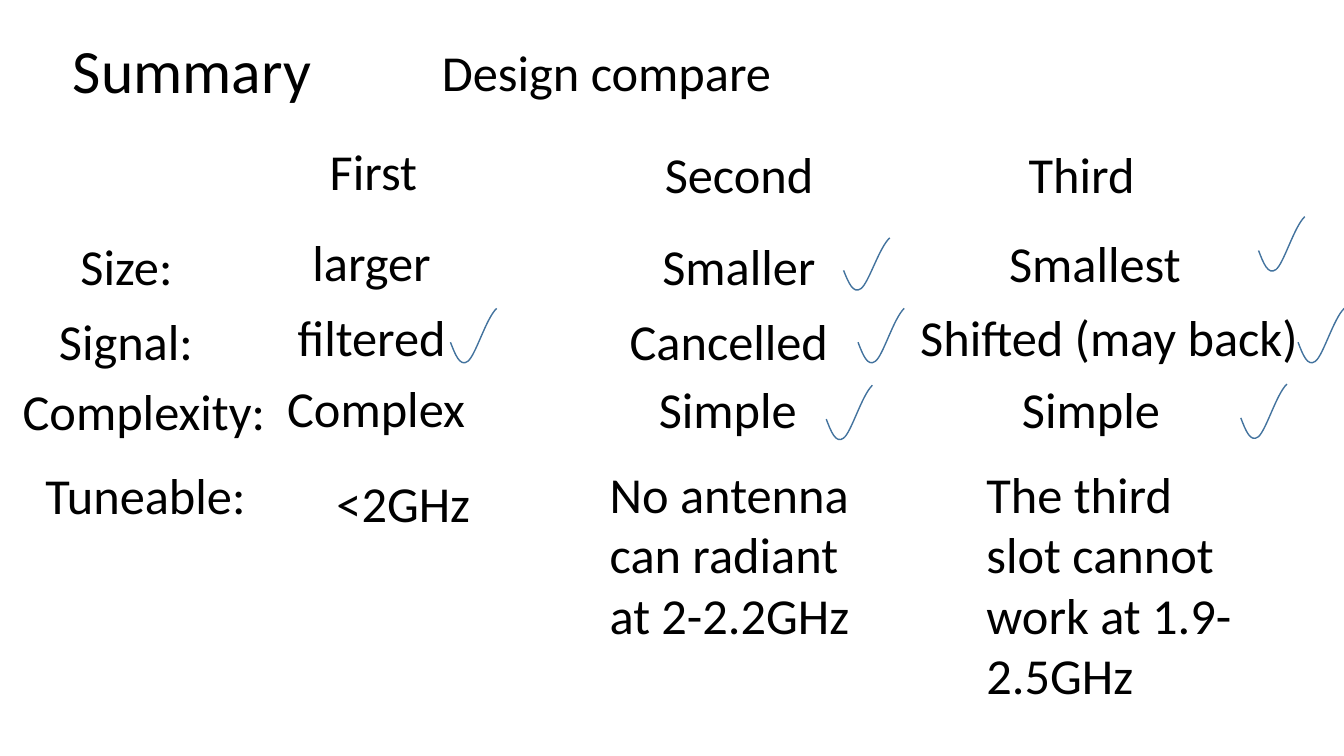
from lxml import etree
from pptx import Presentation
from pptx.dml.color import RGBColor
from pptx.enum.text import MSO_AUTO_SIZE
from pptx.oxml.ns import qn
from pptx.util import Pt

BLACK = RGBColor(0x00, 0x00, 0x00)
BLUE = RGBColor(0x43, 0x73, 0x9E)
GROW = MSO_AUTO_SIZE.SHAPE_TO_FIT_TEXT
LINE_H = 51.1

# text, left, top, width
LABELS = [
    ("Design compare", 308.6, 25.9, 252),
    ("First", 228.4, 96.5, 85.7),
    ("Second", 467.8, 98.6, 129.6),
    ("Third", 727.7, 98.6, 127.4),
    ("Size:", 50.4, 164.2, 80.6),
    ("larger", 216, 161.3, 100.1),
    ("Smaller", 466, 164.2, 125.3),
    ("Smallest", 713.7, 162, 138.2),
    ("Signal:", 35, 218.2, 110.9),
    ("filtered", 205.5, 215.3, 121.7),
    ("Cancelled", 442.6, 218.2, 157.7),
    ("Shifted (may back)", 650.2, 215.3, 287.3),
    ("Complexity:", 9.1, 267.8, 189.4),
    ("Complex", 198, 266.1, 142.6),
    ("Simple", 463.5, 266.4, 113.8),
    ("Simple", 722.9, 266.4, 113.8),
    ("Tuneable:", 25.4, 327.6, 158.4),
    ("<2GHz", 233.3, 333.4, 110.9),
]

# left, top, height factor
TICKS = [
    (602.6, 169.9, 0.96),
    (899, 154.8, 1),
    (321.8, 220.3, 1),
    (612.9, 220.3, 1),
    (927.2, 220.3, 1),
    (590.2, 275.2, 1),
    (886.3, 274.3, 1),
]
TICK_H = 38.9
BENDS = [(0, 24.2), (3.4, 33), (6.8, 42), (12.4, 37.8),
         (18, 33.6), (25.4, 7.2), (33, 0)]


def add_text(slide, text, left, top, width, height=LINE_H, size=36, wrap=False):
    box = slide.shapes.add_textbox(Pt(left), Pt(top), Pt(width), Pt(height))
    frame = box.text_frame
    frame.word_wrap = wrap
    frame.auto_size = GROW
    run = frame.paragraphs[0].add_run()
    run.text = text
    run.font.color.rgb = BLACK
    for name, value in {"name": "Calibri", "size": Pt(size)}.items():
        setattr(run.font, name, value)


def bend(shape):
    """Turn each three straight segments into one cubic curve."""
    route = next(shape.element.iter(qn("a:path")))
    lines = route.findall(qn("a:lnTo"))
    for first in range(0, len(lines), 3):
        curve = etree.SubElement(route, qn("a:cubicBezTo"))
        for line in lines[first:first + 3]:
            curve.append(line[0])
            route.remove(line)
    return route


def add_tick(slide, left, top, tall):
    points = [(Pt(x), Pt(y * tall)) for x, y in BENDS]
    pen = slide.shapes.build_freeform(*points[0])
    pen.add_line_segments(points[1:], close=False)
    tick = pen.convert_to_shape(Pt(left), Pt(top))
    # The lowest control point lies below the curve's own edge.
    tick.height = Pt(TICK_H * tall)
    bend(tick).set("h", str(tick.height))
    tick.shadow.inherit = False
    tick.fill.background()
    tick.line.color.rgb = BLUE
    tick.line.width = Pt(1)


def main():
    deck = Presentation()
    deck.slide_width, deck.slide_height = Pt(960), Pt(540)
    slide = deck.slides.add_slide(deck.slide_layouts[6])
    add_text(slide, "Summary", 45, 19.4, 203, 60.5, size=44, wrap=True)
    for label in LABELS:
        add_text(slide, *label)
    add_text(slide, "No antenna can radiant at 2-2.2GHz",
             428.4, 327.2, 189.4, 138.2, wrap=True)
    add_text(slide, "The third slot cannot work at 1.9-2.5GHz",
             697.5, 327.1, 193, 181.4, wrap=True)
    for tick in TICKS:
        add_tick(slide, *tick)
    deck.save("out.pptx")


if __name__ == "__main__":
    main()
